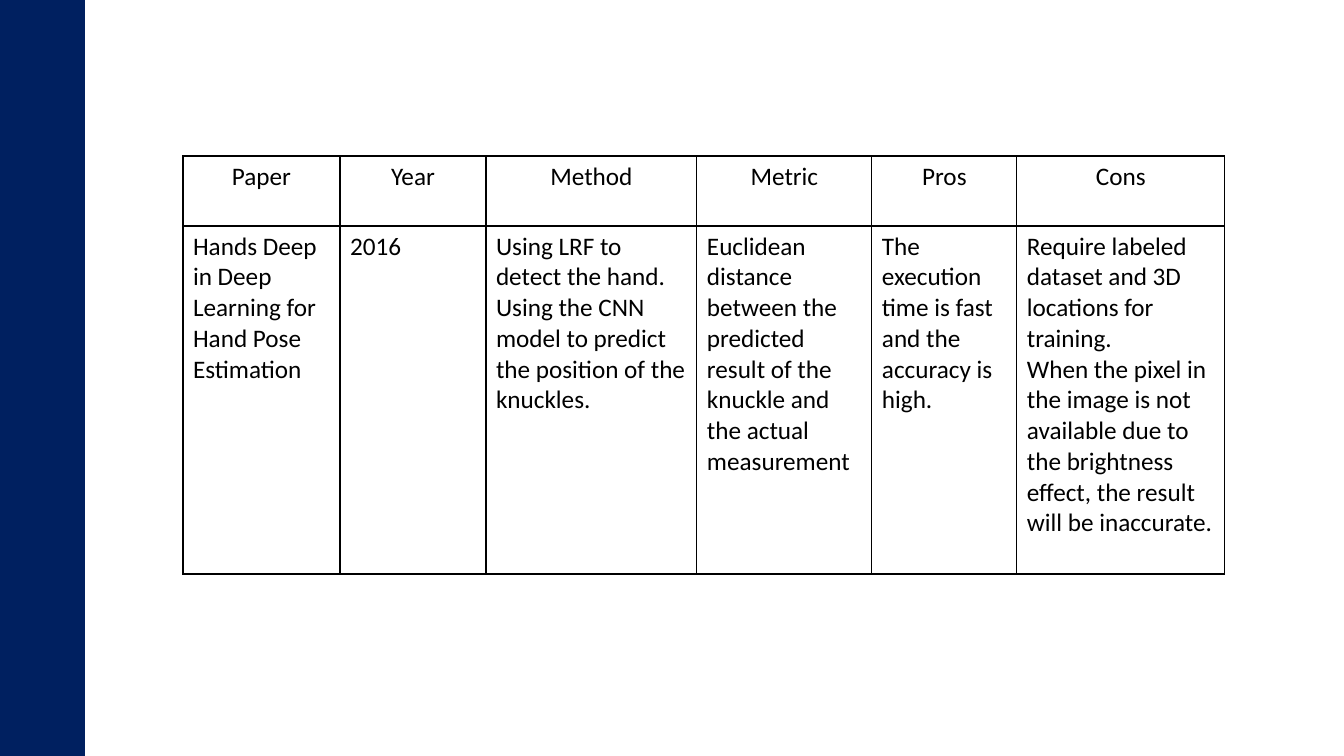
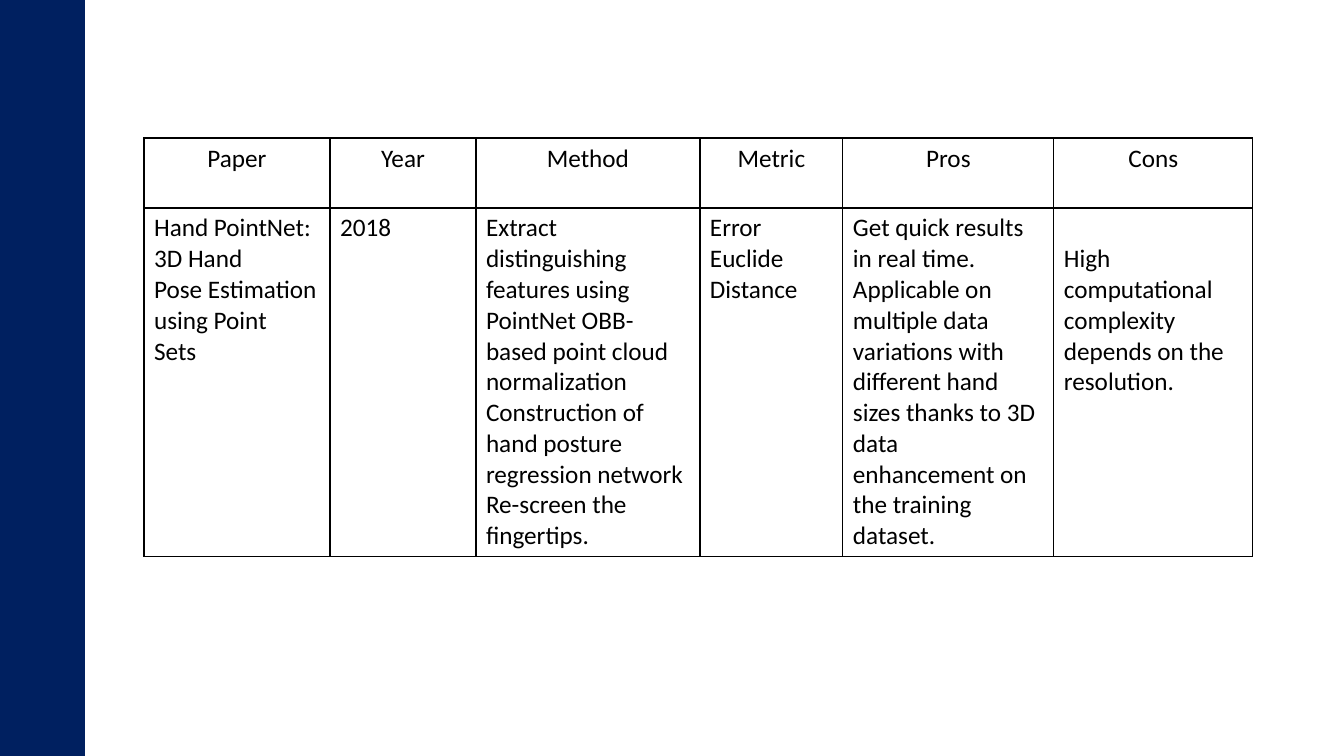
from lxml import etree
from pptx import Presentation, util as u
from pptx.dml.color import RGBColor
from pptx.enum import shapes, text
from pptx.oxml import ns

PX = 914400 / 100.8
COLORS = {"band": "002060", "paper": "FFFFFF", "ink": "000000"}
FONT, SIZE = "Calibri", 18
ROWS = [70, 348]
LINE = 31
HEADS = ["Paper", "Year", "Method", "Metric", "Pros", "Cons"]
NBSP = chr(160)  # written as ~ in the texts below

# Each table: position, column widths, body cells (one list of paragraphs each),
# and the columns whose body text starts one line lower
TABLES = [
    {
        "at": (183, 156),
        "cols": [157, 146, 211, 175, 145, 208],
        "body": [
            ["Hands Deep in Deep Learning for Hand Pose Estimation"],
            ["2016"],
            ["Using LRF to detect the hand. Using the CNN model to predict "
             "the position of the knuckles."],
            ["Euclidean distance between the predicted result of the knuckle "
             "and the actual measurement"],
            ["The execution time is fast and the accuracy is high."],
            ["Require labeled dataset and 3D locations for training.",
             "When the pixel in the image is not available due to the "
             "brightness effect, the result will be inaccurate."],
        ],
        "lowered": [],
    },
    {
        "at": (144, 138),
        "cols": [186, 146, 224, 143, 211, 199],
        "body": [
            ["Hand~PointNet:~3D Hand Pose~Estimation using~Point Sets~"],
            ["2018"],
            ["Extract distinguishing features using PointNet OBB-based point "
             "cloud normalization Construction of hand posture regression "
             "network Re-screen the fingertips."],
            ["Error Euclide Distance"],
            ["Get quick results in real time. Applicable on multiple data "
             "variations with different hand sizes thanks to 3D data "
             "enhancement on the training dataset."],
            ["High computational complexity depends on the resolution."],
        ],
        "lowered": [5],
    },
]


def px(n):
    return u.Emu(round(n * PX))


def fill_cell(cell, paragraphs, align):
    # Borders come before the fill in the cell properties
    tcPr = cell._tc.get_or_add_tcPr()
    for side in ("a:lnL", "a:lnR", "a:lnT", "a:lnB"):
        ln = etree.SubElement(tcPr, ns.qn(side), w=str(u.Pt(1)))
        solid = etree.SubElement(ln, ns.qn("a:solidFill"))
        etree.SubElement(solid, ns.qn("a:srgbClr"), val=COLORS["ink"])
    cell.fill.solid()
    cell.fill.fore_color.rgb = RGBColor.from_string(COLORS["paper"])

    tf = cell.text_frame
    for i, words in enumerate(paragraphs):
        p = tf.add_paragraph() if i else tf.paragraphs[0]
        p.alignment = align
        r = p.add_run()
        r.text = words.replace("~", NBSP)
        r.font.name = FONT
        r.font.size = u.Pt(SIZE)
        r.font.color.rgb = RGBColor.from_string(COLORS["ink"])


prs = Presentation()
prs.slide_width, prs.slide_height = px(1344), px(756)

for data in TABLES:
    s = prs.slides.add_slide(prs.slide_layouts[6])

    # Side band
    band = s.shapes.add_shape(shapes.MSO_SHAPE.RECTANGLE, 0, 0, px(85), px(756))
    band.shadow.inherit = False
    band.fill.solid()
    band.fill.fore_color.rgb = RGBColor.from_string(COLORS["band"])
    band.line.fill.background()

    # Paper summary table
    left, top = data["at"]
    table = s.shapes.add_table(len(ROWS), len(HEADS), px(left), px(top),
                               px(sum(data["cols"])), px(sum(ROWS))).table
    table.first_row = table.horz_banding = False
    for row, height in zip(table.rows, ROWS):
        row.height = px(height)
    for c, (width, head, body) in enumerate(zip(data["cols"], HEADS, data["body"])):
        table.columns[c].width = px(width)
        fill_cell(table.cell(0, c), [head], text.PP_ALIGN.CENTER)
        fill_cell(table.cell(1, c), body, text.PP_ALIGN.LEFT)
    for c in data["lowered"]:
        table.cell(1, c).margin_top = px(5 + LINE)

prs.save("out.pptx")
